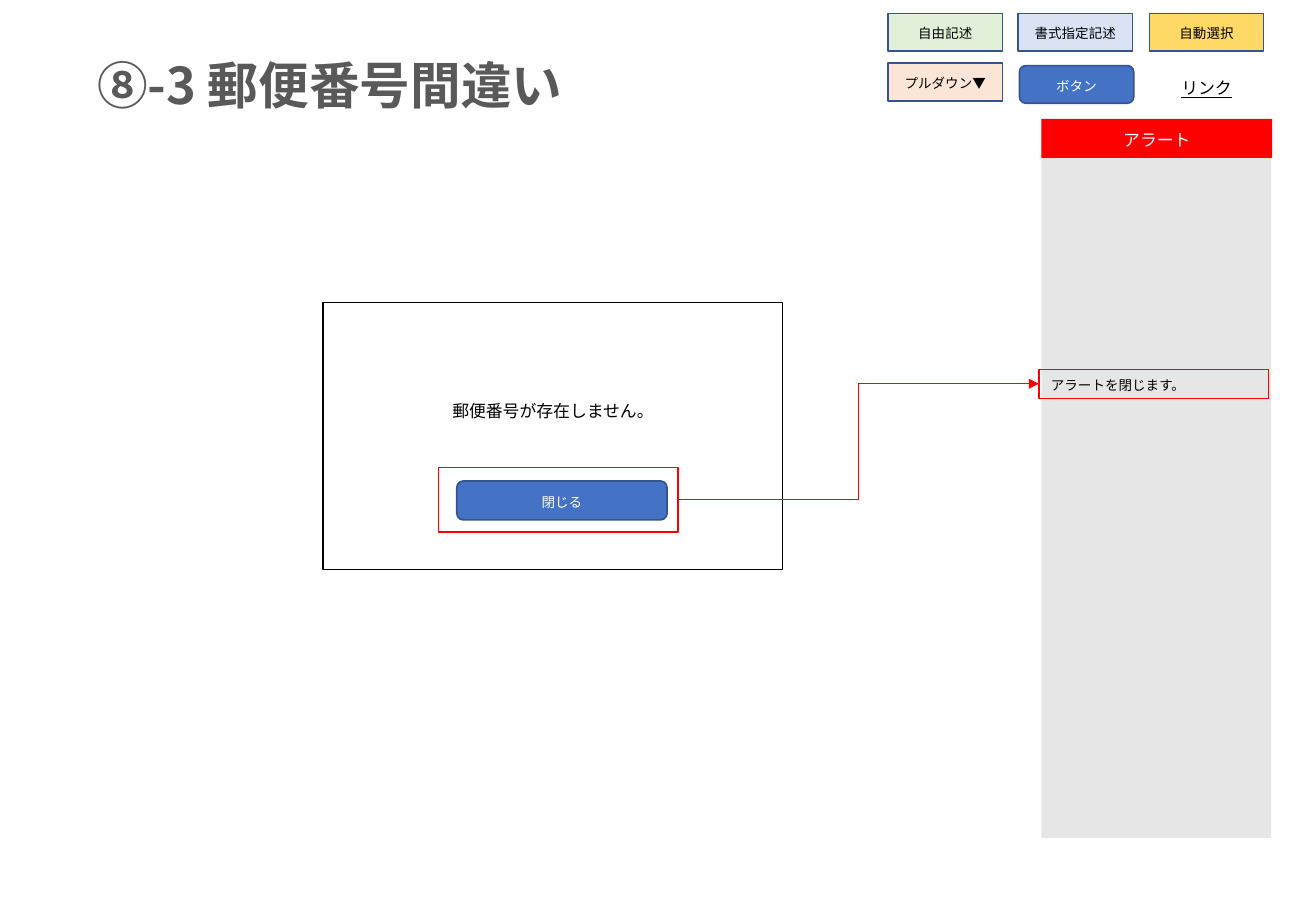
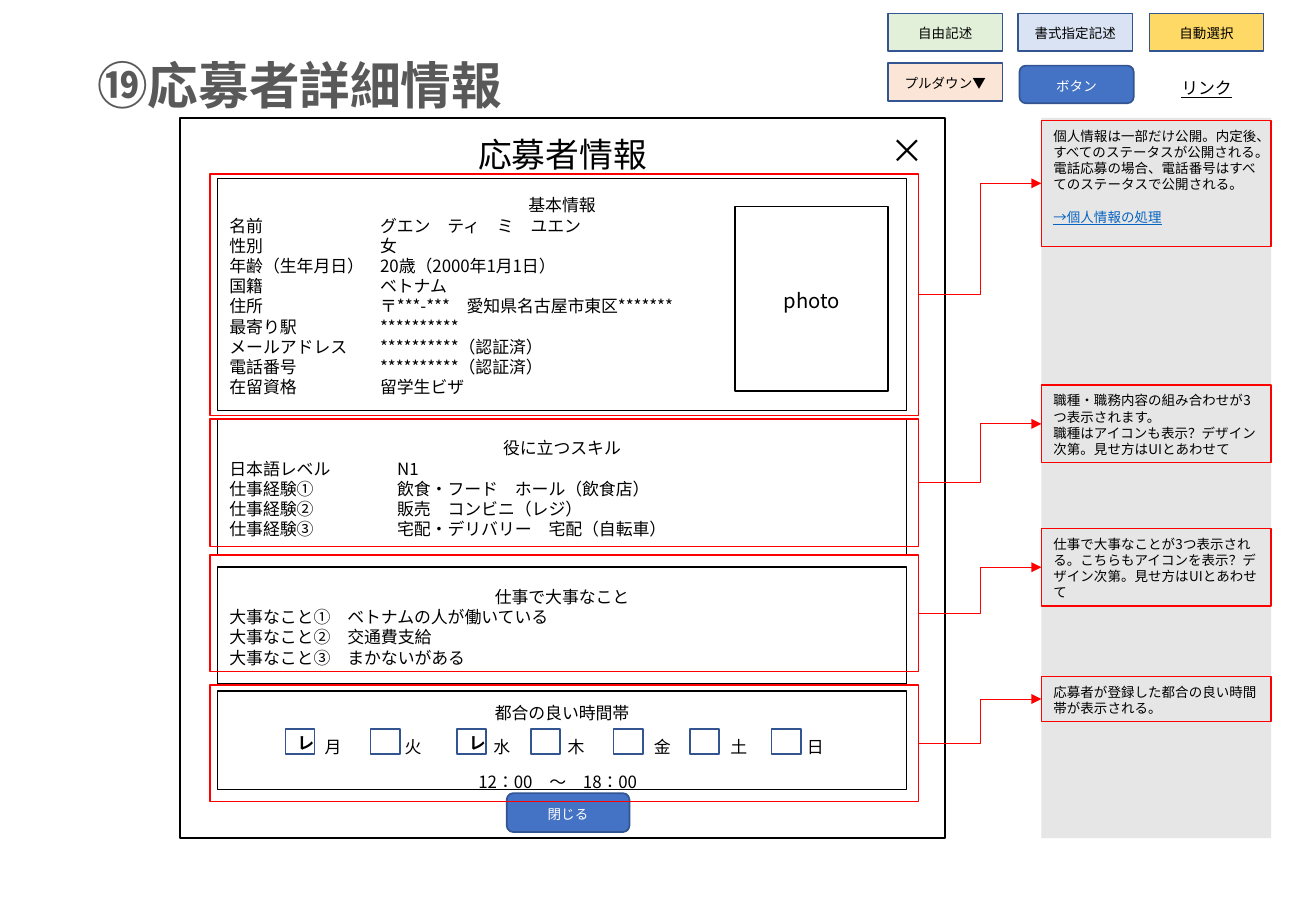
import dataclasses

import lxml.etree
import pptx
import pptx.dml.color
import pptx.enum.shapes
import pptx.enum.text
import pptx.oxml.ns
import pptx.util

PX = 9144  # EMU in one px, 100 px to the inch
SHAPE = pptx.enum.shapes.MSO_SHAPE
ALIGN = pptx.enum.text.PP_ALIGN
ANCHOR = pptx.enum.text.MSO_ANCHOR


@dataclasses.dataclass(frozen=True)
class Theme:
    font: str = "Noto Sans CJK JP"
    ink: str = "000000"
    white: str = "FFFFFF"
    title: str = "595959"
    button: str = "4472C4"
    outline: str = "325491"
    alert: str = "FF0000"
    link: str = "0563C1"
    sidebar: str = "E7E6E6"
    free_text: str = "E2F0D9"
    pulldown: str = "FBE5D6"
    formatted: str = "DAE3F3"
    automatic: str = "FFD966"
    title_size: int = 30
    heading_size: int = 20
    photo_size: int = 12
    body_size: int = 10
    small_size: int = 8
    leading: float = 1.2
    drop: float = 0.09  # lowers the baseline, in ems


THEME = Theme()

SLIDE_SIZE = (1083, 750)
TITLE_AREA = (70, 36, 939, 61)
SIDEBAR_AREA = (857, 97, 189, 593)
LEGEND_LEFT, LEGEND_PITCH, LEGEND_WIDTH = 731, 107.5, 94
LEGEND_FIELDS = [  # label, column, top, fill
    ("自由記述", 0, 11, THEME.free_text),
    ("プルダウン▼", 0, 52, THEME.pulldown),
    ("書式指定記述", 1, 11, THEME.formatted),
    ("自動選択", 2, 11, THEME.automatic),
]

ALERT_TITLE = "⑧-3 郵便番号間違い"
ALERT_MESSAGE = "郵便番号が存在しません。"
ALERT_NOTE = "アラートを閉じます。"

DETAIL_TITLE = "⑲応募者詳細情報"
SECTION_LEFT, SECTION_WIDTH = 179, 567
SECTIONS = [  # heading, top, height, tab position, rows
    ("基本情報", 147, 191, 124, [
        ("名前", "グエン　ティ　ミ　ユエン"),
        ("性別", "女"),
        ("年齢（生年月日）", "20歳（2000年1月1日）"),
        ("国籍", "ベトナム"),
        ("住所", "〒***-***　愛知県名古屋市東区*******"),
        ("最寄り駅", "**********"),
        ("メールアドレス", "**********（認証済）"),
        ("電話番号", "**********（認証済）"),
        ("在留資格", "留学生ビザ"),
    ]),
    ("役に立つスキル", 345, 112, 138, [
        ("日本語レベル", "N1"),
        ("仕事経験①", "飲食・フード　ホール（飲食店）"),
        ("仕事経験②", "販売　コンビニ（レジ）"),
        ("仕事経験③", "宅配・デリバリー　宅配（自転車）"),
    ]),
    ("仕事で大事なこと", 467, 96, 97, [
        ("大事なこと①", "ベトナムの人が働いている"),
        ("大事なこと②", "交通費支給"),
        ("大事なこと③", "まかないがある"),
    ]),
]
DAYS = [  # day, mark, box left, label left
    ("月", "レ", 235, 247),
    ("火", "", 305, 313),
    ("水", "レ", 376, 386),
    ("木", "", 437, 447),
    ("金", "", 505, 518),
    ("土", "", 568, 581),
    ("日", "", 635, 644),
]
NOTE_LINK = "→個人情報の処理"
CALLOUTS = [  # frame top, frame height, note top, note height, note paragraphs
    (143, 199, 99, 104, [
        "個人情報は一部だけ公開。内定後、すべてのステータスが公開される。",
        "電話応募の場合、電話番号はすべてのステータスで公開される。",
        NOTE_LINK,
    ]),
    (345, 105, 317, 64, [
        "職種・職務内容の組み合わせが3つ表示されます。",
        "職種はアイコンも表示？デザイン次第。見せ方はUIとあわせて",
    ]),
    (457, 96, 435, 64, [
        "仕事で大事なことが3つ表示される。こちらもアイコンを表示？"
        "デザイン次第。見せ方はUIとあわせて",
    ]),
    (564, 96, 557, 37, ["応募者が登録した都合の良い時間帯が表示される。"]),
]


def rgb(color):
    return pptx.dml.color.RGBColor.from_string(color)


def emu(lengths):
    return [pptx.util.Emu(round(length * PX)) for length in lengths]


def add_xml(parent, tag, **attributes):
    return lxml.etree.SubElement(parent, pptx.oxml.ns.qn(tag), attributes)


def style_run(span, size, color, bold=False, underline=False):
    span.font.name = THEME.font
    span.font.size = pptx.util.Pt(size)
    span.font.bold = bold
    span.font.underline = underline
    span.font.color.rgb = rgb(color)
    latin = span.font._element.find(pptx.oxml.ns.qn("a:latin"))
    east_asian = lxml.etree.Element(pptx.oxml.ns.qn("a:ea"), typeface=THEME.font)
    latin.addnext(east_asian)


def write(box, lines, size, color=THEME.ink, align=ALIGN.CENTER,
          anchor=ANCHOR.MIDDLE, **style):
    """Fill a shape with one paragraph a line, in the deck's leading."""
    frame = box.text_frame
    frame.word_wrap = True
    frame.auto_size = pptx.enum.text.MSO_AUTO_SIZE.NONE
    frame.vertical_anchor = anchor
    shift = THEME.drop * size * (2 if anchor == ANCHOR.MIDDLE else 1)
    frame.margin_top = pptx.util.Pt(3.6 + shift)
    frame.margin_bottom = pptx.util.Pt(3.6)
    frame.margin_left = frame.margin_right = pptx.util.Pt(7.2)
    frame.text = "\n".join(lines)
    for para in frame.paragraphs:
        para.alignment = align
        para.line_spacing = pptx.util.Pt(THEME.leading * size)
        para.space_before = pptx.util.Pt(0)
        for span in para.runs:
            style_run(span, size, color, **style)


def add_box(slide, area, fill=None, line=None, width=1, kind=SHAPE.RECTANGLE):
    box = slide.shapes.add_shape(kind, *emu(area))
    box.shadow.inherit = False
    if fill:
        box.fill.solid()
        box.fill.fore_color.rgb = rgb(fill)
    else:
        box.fill.background()
    if line:
        box.line.color.rgb = rgb(line)
        box.line.width = pptx.util.Pt(width)
    else:
        box.line.fill.background()
    return box


def add_label(slide, area, text, size=THEME.body_size, **style):
    box = slide.shapes.add_textbox(*emu(area))
    write(box, [text], size, anchor=ANCHOR.TOP, **style)


def add_button(slide, area, text):
    button = add_box(slide, area, THEME.button, THEME.outline, kind=SHAPE.ROUNDED_RECTANGLE)
    write(button, [text], THEME.small_size, THEME.white)


def add_callout(slide, frame_area, note_area, lines):
    """Frame a region in red and lead an arrow from it to its note."""
    frame = add_box(slide, frame_area, line=THEME.alert)
    note = add_box(slide, note_area, line=THEME.alert, width=0.75)
    write(note, lines, THEME.small_size, align=ALIGN.LEFT, anchor=ANCHOR.TOP)
    arrow = slide.shapes.add_connector(pptx.enum.shapes.MSO_CONNECTOR.ELBOW, 0, 0, 0, 0)
    arrow.begin_connect(frame, 3)
    arrow.end_connect(note, 1)
    arrow.line.color.rgb = rgb(THEME.alert)
    arrow.line.width = pptx.util.Pt(0.5)
    add_xml(arrow.line._get_or_add_ln(), "a:tailEnd", type="triangle")
    add_xml(arrow._element.spPr, "a:effectLst")
    return note


def add_page(deck, title):
    """Add a slide with the shared title, sidebar and legend."""
    slide = deck.slides.add_slide(deck.slide_layouts[5])
    heading = slide.shapes.title
    heading.left, heading.top, heading.width, heading.height = emu(TITLE_AREA)
    write(heading, [title], THEME.title_size, THEME.title, ALIGN.LEFT, ANCHOR.TOP, bold=True)
    add_box(slide, SIDEBAR_AREA, THEME.sidebar)
    for label, column, top, fill in LEGEND_FIELDS:
        area = (int(LEGEND_LEFT + column * LEGEND_PITCH), top, LEGEND_WIDTH, 31)
        write(add_box(slide, area, fill, THEME.outline), [label], THEME.small_size)
    add_button(slide, (839, 54, LEGEND_WIDTH, 31), "ボタン")
    add_label(slide, (946, 58, LEGEND_WIDTH, 27), "リンク", underline=True)
    return slide


def add_section(slide, heading, top, height, tab, rows):
    box = add_box(slide, (SECTION_LEFT, top, SECTION_WIDTH, height), line=THEME.ink)
    write(box, [heading] + ["\t".join(row) for row in rows], THEME.body_size)
    for para in box.text_frame.paragraphs[1:]:
        para.alignment = ALIGN.LEFT
        tabs = add_xml(para._p.get_or_add_pPr(), "a:tabLst")
        add_xml(tabs, "a:tab", pos=str(tab * PX), algn="l")


def add_hours(slide):
    add_box(slide, (SECTION_LEFT, 569, SECTION_WIDTH, 81), line=THEME.ink)
    add_label(slide, (SECTION_LEFT, 572, SECTION_WIDTH, 27), "都合の良い時間帯")
    for day, mark, box_left, label_left in DAYS:
        check = add_box(slide, (box_left, 600, 24, 21), line=THEME.outline)
        if mark:
            write(check, [mark], THEME.body_size, bold=True)
        add_label(slide, (label_left, 600, 54, 27), day)
    add_label(slide, (349, 629, 220, 27), "12：00　～　18：00")


def build_alert(deck):
    slide = add_page(deck, ALERT_TITLE)
    header = add_box(slide, (857, 98, 190, 32), THEME.alert)
    write(header, ["アラート"], THEME.body_size, THEME.white)
    add_box(slide, (266, 249, 378, 220), line=THEME.ink)
    add_label(slide, (266, 324, 378, 27), ALERT_MESSAGE)
    add_button(slide, (376, 396, 173, 32), "閉じる")
    add_callout(slide, (361, 385, 197, 53), (855, 304, 189, 24), [ALERT_NOTE])


def build_detail(deck):
    slide = add_page(deck, DETAIL_TITLE)
    add_box(slide, (148, 97, 630, 593), line=THEME.ink)
    add_label(slide, (148, 103, 630, 44), "応募者情報", THEME.heading_size)
    add_label(slide, (715, 99, 63, 44), "×", THEME.heading_size)
    for section in SECTIONS:
        add_section(slide, *section)
    add_hours(slide)
    photo = add_box(slide, (605, 170, 126, 152), line=THEME.ink)
    write(photo, ["photo"], THEME.photo_size)
    add_button(slide, (417, 653, 101, 32), "閉じる")
    for frame_top, frame_height, note_top, note_height, lines in CALLOUTS:
        note = add_callout(slide, (173, frame_top, 583, frame_height),
                           (857, note_top, 189, note_height), lines)
        if NOTE_LINK in lines:
            link = note.text_frame.paragraphs[lines.index(NOTE_LINK)]
            link.space_before = pptx.util.Pt(THEME.leading * THEME.small_size)
            link.runs[0].font.color.rgb = rgb(THEME.link)
            link.runs[0].font.underline = True


def main():
    deck = pptx.Presentation()
    deck.slide_width, deck.slide_height = emu(SLIDE_SIZE)
    build_alert(deck)
    build_detail(deck)
    deck.save("out.pptx")


if __name__ == "__main__":
    main()
